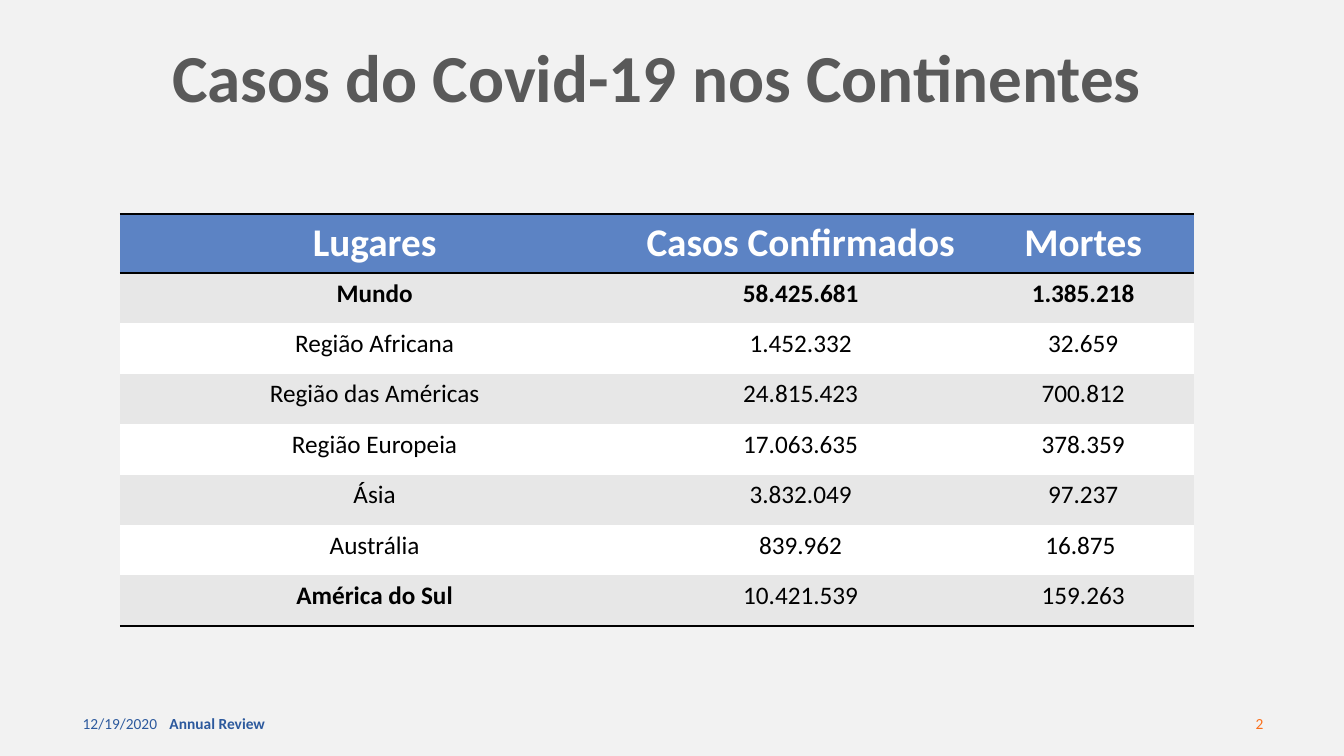
from lxml.etree import SubElement
from pptx import Presentation
from pptx.dml.color import RGBColor
from pptx.enum.text import MSO_ANCHOR, PP_ALIGN
from pptx.oxml.ns import qn
from pptx.util import Pt

FONT = "Calibri"
BACKGROUND = RGBColor(0xF2, 0xF2, 0xF2)
TITLE_GRAY = RGBColor(0x59, 0x59, 0x59)
FOOTER_BLUE = RGBColor(0x2C, 0x59, 0x9D)
PAGE_ORANGE = RGBColor(0xFA, 0x6F, 0x1A)
HEADER_BLUE = RGBColor(0x5C, 0x83, 0xC4)
BAND_GRAY = RGBColor(0xE7, 0xE7, 0xE7)
WHITE = RGBColor(0xFF, 0xFF, 0xFF)
BLACK = RGBColor(0, 0, 0)

NO_STYLE = "{2D5ABB26-0587-4C30-8999-92F81FD0307C}"
COLUMN_SHARES = (0.474, 0.319, 0.207)
HEADER_HEIGHT = 42
RULE_WIDTH = 2

CASES = [
    ("Lugares", "Casos Confirmados", "Mortes"),
    ("Mundo", "58.425.681", "1.385.218"),
    ("Região Africana", "1.452.332", "32.659"),
    ("Região das Américas", "24.815.423", "700.812"),
    ("Região Europeia", "17.063.635", "378.359"),
    ("Ásia", "3.832.049", "97.237"),
    ("Austrália", "839.962", "16.875\u00a0"),
    ("América do Sul", "10.421.539", "159.263"),
]


def style_paragraph(paragraph, size, color, bold=False, align=PP_ALIGN.LEFT):
    paragraph.alignment = align
    font = paragraph.font
    font.name, font.size, font.bold = FONT, Pt(size), bold
    font.color.rgb = color


def add_label(slide, box, text, size, color, bold=False, align=PP_ALIGN.LEFT):
    frame = slide.shapes.add_textbox(*map(Pt, box)).text_frame
    frame.word_wrap = True
    frame.vertical_anchor = MSO_ANCHOR.MIDDLE
    paragraph = frame.paragraphs[0]
    paragraph.text = text
    style_paragraph(paragraph, size, color, bold, align)
    return paragraph


def add_rule(cell, side):
    """Draw a black rule on one side of a cell; call before filling it."""
    line = SubElement(cell._tc.get_or_add_tcPr(), qn(f"a:{side}"), w=str(Pt(RULE_WIDTH)))
    fill = SubElement(line, qn("a:solidFill"))
    SubElement(fill, qn("a:srgbClr"), val=str(BLACK))


def add_title(slide, box):
    title = add_label(slide, box, "Casos do Covid-19 nos Continentes",
                      48, TITLE_GRAY, True, PP_ALIGN.CENTER)
    title.line_spacing = 0.9


def add_cases_table(slide, box):
    last = len(CASES) - 1
    cases = slide.shapes.add_table(len(CASES), len(COLUMN_SHARES), *map(Pt, box)).table
    cases._tbl.tblPr.find(qn("a:tableStyleId")).text = NO_STYLE

    # Column widths and row heights
    width, height = box[2:]
    for column, share in zip(cases.columns, COLUMN_SHARES):
        column.width = Pt(width * share)
    for row in cases.rows:
        row.height = Pt((height - HEADER_HEIGHT) / last)
    cases.rows[0].height = Pt(HEADER_HEIGHT)

    # Cells: header, bold world total, then alternating bands
    for r, record in enumerate(CASES):
        header = r == 0
        band = HEADER_BLUE if header else BAND_GRAY if r % 2 else WHITE
        for c, text in enumerate(record):
            cell = cases.cell(r, c)
            if header:
                add_rule(cell, "lnT")
            if header or r == last:
                add_rule(cell, "lnB")
            cell.fill.solid()
            cell.fill.fore_color.rgb = band
            cell.text = text
            bold = r <= 1 or (r == last and c == 0)
            style_paragraph(cell.text_frame.paragraphs[0], 28 if header else 18,
                            WHITE if header else BLACK, bold, PP_ALIGN.CENTER)


def add_footer(slide, box):
    left, top, width, height = box
    add_label(slide, (left, top, 216, height), "12/19/2020", 11, FOOTER_BLUE)
    add_label(slide, (left + 62, top, 324, height), "Annual Review", 11, FOOTER_BLUE, True)
    add_label(slide, (left + width - 216, top, 216, height), "2", 11, PAGE_ORANGE,
              align=PP_ALIGN.RIGHT)


def main():
    deck = Presentation()
    deck.slide_width, deck.slide_height = Pt(960), Pt(540)
    slide = deck.slides.add_slide(deck.slide_layouts[6])
    slide.background.fill.solid()
    slide.background.fill.fore_color.rgb = BACKGROUND

    add_footer(slide, (52, 502.5, 857.5, 29))
    add_title(slide, (18.5, 23.5, 901.5, 69))
    add_cases_table(slide, (85.7, 153, 767.5, 294))
    deck.save("out.pptx")


if __name__ == "__main__":
    main()
